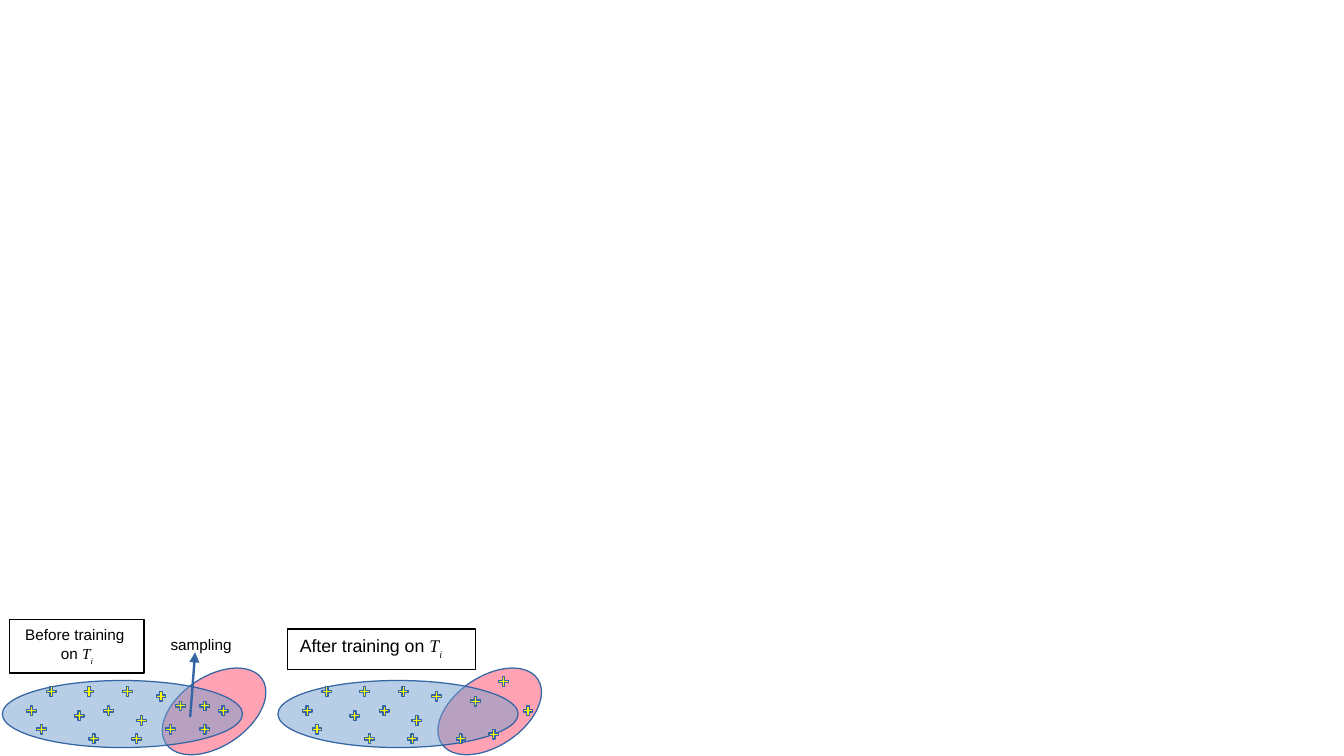
from lxml import etree
from pptx import Presentation
from pptx.dml.color import RGBColor
from pptx.enum.shapes import MSO_CONNECTOR, MSO_SHAPE
from pptx.enum.text import MSO_ANCHOR, PP_ALIGN
from pptx.oxml.ns import qn
from pptx.util import Pt

ELLIPSE, PLUS, RECT = MSO_SHAPE.OVAL, MSO_SHAPE.CROSS, MSO_SHAPE.RECTANGLE
STRAIGHT = MSO_CONNECTOR.STRAIGHT
TOP = MSO_ANCHOR.TOP
LEFT, CENTER = PP_ALIGN.LEFT, PP_ALIGN.CENTER

COLORS = {"edge": "3465A4", "old": "729FCF", "new": "FF1744",
          "sample": "FFFF00", "ink": "000000"}
PANEL_STEP = 162.7
PLUS_SIZE = 5.7

# Sample positions, given for the first panel
SHARED = [(43.9, 419.8), (72.5, 405.4), (77.8, 433.4), (92.2, 408.2),
          (21.6, 427.7), (15.8, 416.9), (27.4, 405.4), (49.7, 405.4),
          (80.6, 422.6), (52.6, 433.4), (61.2, 416.9)]
BEFORE = [(97.9, 427.7), (118.1, 427.7), (128.9, 416.9), (118.1, 414),
          (103.7, 414)]
AFTER = [(106.6, 433.4), (126, 430.6), (146.2, 416.9), (131.8, 399.6),
         (115.2, 411.1)]


def rgb(name):
    return RGBColor.from_string(COLORS[name])


class Sketch:
    """Draws elements on one slide; all lengths are in points."""

    def __init__(self, slide):
        self.s = slide
        self.font = {"name": "Arial", "size": Pt(9), "italic": False}
        self.math = {"name": "Times New Roman", "italic": True}
        self.frame = {"margin_left": Pt(7.2), "margin_right": Pt(7.2),
                      "margin_top": Pt(3.6), "margin_bottom": Pt(3.6),
                      "vertical_anchor": TOP, "word_wrap": True}

    def shape(self, kind, box, fill=None, line="edge", opacity=100):
        sp = self.s.shapes.add_shape(kind, *map(Pt, box))
        sp.shadow.inherit = False
        sp.line.color.rgb = rgb(line)
        sp.line.width = 0
        if fill is None:
            sp.fill.background()
            return sp
        sp.fill.solid()
        sp.fill.fore_color.rgb = rgb(fill)
        if opacity < 100:
            color = sp._element.spPr.find(qn("a:solidFill"))[0]
            etree.SubElement(color, qn("a:alpha"), val=str(opacity * 1000))
        return sp

    def plus(self, x, y):
        sp = self.shape(PLUS, (x, y, PLUS_SIZE, PLUS_SIZE), "sample")
        sp.adjustments[0] = 0.383

    def add_text(self, p, text, **extra):
        r = p.add_run()
        r.text = text
        for key, value in {**self.font, **extra}.items():
            setattr(r.font, key, value)
        r.font.color.rgb = rgb("ink")
        return r

    def fill_text(self, sp, lines, align=LEFT, **extra):
        tf = sp.text_frame
        for key, value in self.frame.items():
            setattr(tf, key, value)
        p = tf.paragraphs[0]
        p.alignment = align
        for i, text in enumerate(lines):
            if i:
                p.add_line_break()
            self.add_text(p, text, **extra)
        return p

    def label(self, box, text):
        self.fill_text(self.s.shapes.add_textbox(*map(Pt, box)), [text])

    def task_title(self, box, lines, align, size):
        """Framed title that ends with the task symbol T and its index i."""
        size = {"size": Pt(size)}
        sp = self.shape(RECT, box, line="ink")
        p = self.fill_text(sp, lines, align, **size)
        self.add_text(p, "T", **self.math, **size)
        index = self.add_text(p, "i", **self.math, **size)
        index.font._element.set("baseline", "-33000")

    def arrow(self, start, end):
        c = self.s.shapes.add_connector(STRAIGHT, *map(Pt, start + end))
        c.line.color.rgb = rgb("edge")
        c.line.width = Pt(1.42)
        etree.SubElement(c._element.spPr.find(qn("a:ln")), qn("a:tailEnd"),
                         type="triangle")
        etree.SubElement(c._element.spPr, qn("a:effectLst"))

    def panel(self, dx, samples):
        """Overlapping old and new regions with their samples."""
        sp = self.shape(ELLIPSE, (92.2 + dx, 399.6, 68.4, 41), "new",
                        opacity=40)
        sp.rotation = 326
        self.shape(ELLIPSE, (1.4 + dx, 401.8, 141.8, 39.6), "old", opacity=50)
        for x, y in SHARED + samples:
            self.plus(x + dx, y)


def main():
    prs = Presentation()
    prs.slide_width, prs.slide_height = Pt(793.44), Pt(446.4)
    sketch = Sketch(prs.slides.add_slide(prs.slide_layouts[6]))
    for i, samples in enumerate((BEFORE, AFTER)):
        sketch.panel(i * PANEL_STEP, samples)
    sketch.arrow((112.3, 423.4), (115.2, 385.2))
    sketch.label((93.6, 371.5, 65.5, 18.7), "sampling")
    sketch.task_title((5.8, 365.8, 79.2, 31.7), ["Before training ", "on "],
                      CENTER, 9)
    sketch.task_title((169.9, 371.5, 110.9, 23.8), ["After training on "],
                      LEFT, 10.5)
    prs.save("out.pptx")


if __name__ == "__main__":
    main()
